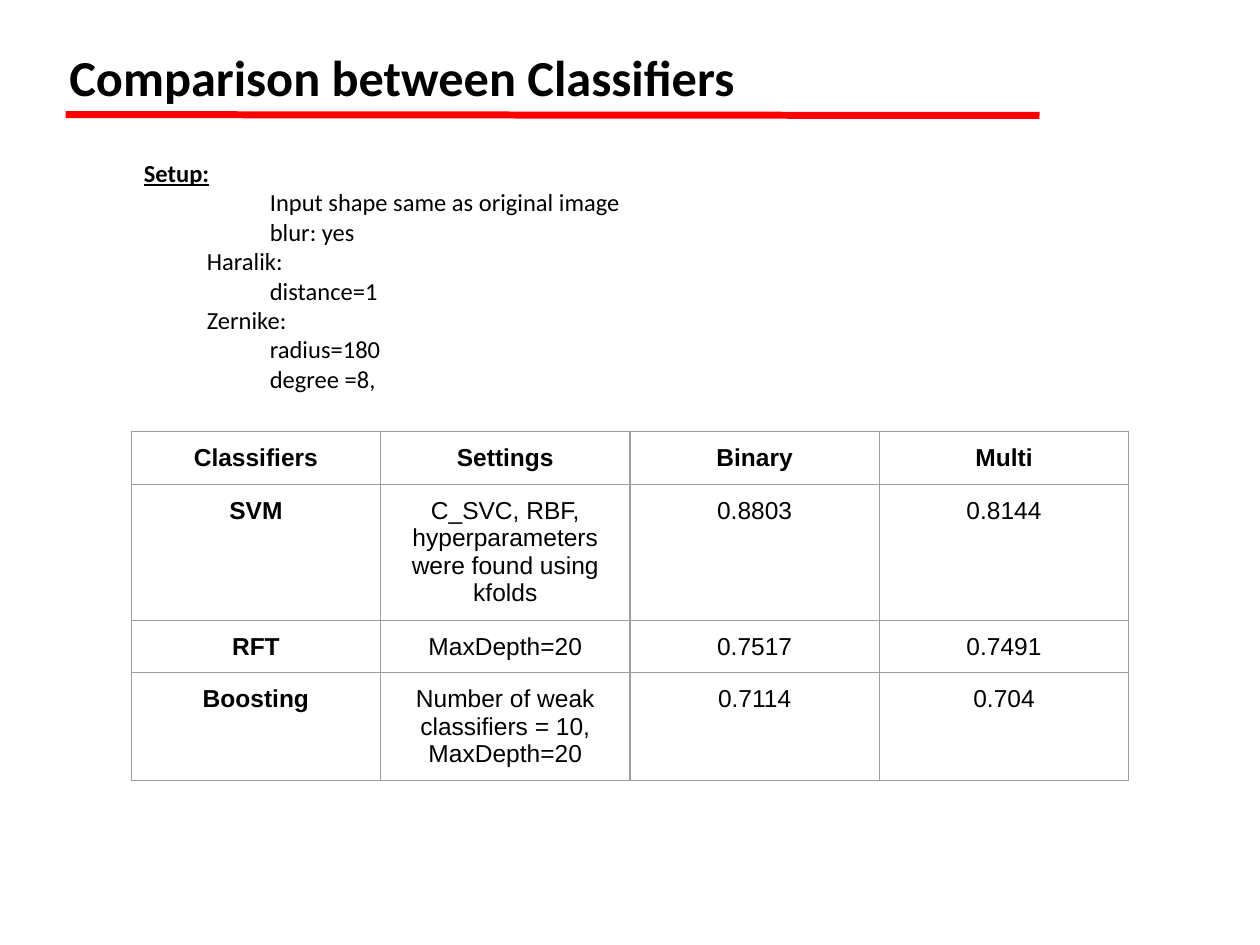
from dataclasses import dataclass

from lxml.etree import SubElement
from pptx import Presentation
from pptx.dml.color import RGBColor
from pptx.enum.shapes import MSO_CONNECTOR
from pptx.enum.text import MSO_ANCHOR, MSO_AUTO_SIZE, PP_ALIGN
from pptx.oxml.ns import qn
from pptx.util import Pt


@dataclass(frozen=True)
class Theme:
    text: str = "000000"
    rule: str = "FF0000"
    border: str = "9E9E9E"
    heading_font: str = "Calibri"
    table_font: str = "Arial"
    title_size: float = 28.8
    body_size: float = 14
    rule_width: float = 4
    border_width: float = 0.75
    indent: float = 36
    title_inset: float = 3.6
    inset: float = 7.2


class SlideBuilder:
    def __init__(self, s, theme):
        self.s = s
        self.theme = theme

    def run(self, p, text, font, size, bold=False, underline=False):
        r = p.add_run()
        r.text = text
        r.font.name = font
        r.font.size = Pt(size)
        r.font.bold = bold
        r.font.underline = underline
        r.font.color.rgb = RGBColor.from_string(self.theme.text)

    def place(self, sp, left, top, width, height, inset, anchor):
        sp.left, sp.top = Pt(left), Pt(top)
        sp.width, sp.height = Pt(width), Pt(height)
        tf = sp.text_frame
        tf.word_wrap = True
        tf.auto_size = MSO_AUTO_SIZE.NONE
        tf.vertical_anchor = anchor
        tf.margin_left = tf.margin_right = Pt(inset)
        tf.margin_top = tf.margin_bottom = Pt(inset)
        return tf

    def title(self, text, *box):
        t = self.theme
        tf = self.place(self.s.shapes.title, *box, t.title_inset, MSO_ANCHOR.MIDDLE)
        p = tf.paragraphs[0]
        p.alignment = PP_ALIGN.LEFT
        self.run(p, text, t.heading_font, t.title_size, bold=True)

    def rule(self, x1, y1, x2, y2):
        line = self.s.shapes.add_connector(
            MSO_CONNECTOR.STRAIGHT, Pt(x1), Pt(y1), Pt(x2), Pt(y2))
        line.line.color.rgb = RGBColor.from_string(self.theme.rule)
        line.line.width = Pt(self.theme.rule_width)
        SubElement(line._element.spPr, qn("a:effectLst"))

    def outline(self, items, *box):
        t = self.theme
        tf = self.place(self.s.placeholders[1], *box, t.inset, MSO_ANCHOR.TOP)
        for i, (level, text) in enumerate(items):
            p = tf.add_paragraph() if i else tf.paragraphs[0]
            p.level = level
            p.space_before = Pt(0)
            pPr = p._p.get_or_add_pPr()
            pPr.set("marL", str(Pt(level * t.indent)))
            pPr.set("indent", "0")
            SubElement(pPr, qn("a:buNone"))
            heading = level == 0
            self.run(p, text, t.heading_font, t.body_size, heading, heading)

    def cell(self, cell, text, bold):
        t = self.theme
        cell.margin_left = cell.margin_right = Pt(t.inset)
        cell.margin_top = cell.margin_bottom = Pt(t.inset)
        tcPr = cell._tc.get_or_add_tcPr()
        for side in ("lnL", "lnR", "lnT", "lnB"):
            ln = SubElement(tcPr, qn(f"a:{side}"), w=str(Pt(t.border_width)))
            SubElement(SubElement(ln, qn("a:solidFill")), qn("a:srgbClr"), val=t.border)
        cell.fill.background()
        p = cell.text_frame.paragraphs[0]
        p.alignment = PP_ALIGN.CENTER
        self.run(p, text, t.table_font, t.body_size, bold)

    def table(self, rows, left, top, col_width, heights):
        cols = len(rows[0])
        table = self.s.shapes.add_table(
            len(rows), cols, Pt(left), Pt(top),
            Pt(col_width * cols), Pt(sum(heights))).table
        table.first_row = table.horz_banding = False
        for column in table.columns:
            column.width = Pt(col_width)
        for i, (values, height) in enumerate(zip(rows, heights)):
            table.rows[i].height = Pt(height)
            for j, text in enumerate(values):
                self.cell(table.cell(i, j), text, i == 0 or j == 0)


SETUP = [
    (0, "Setup:"),
    (2, "Input shape same as original image"),
    (2, "blur: yes"),
    (1, "Haralik:"),
    (2, "distance=1"),
    (1, "Zernike:"),
    (2, "radius=180"),
    (2, "degree =8,"),
]

RESULTS = [
    ("Classifiers", "Settings", "Binary", "Multi"),
    ("SVM", "C_SVC, RBF, hyperparameters were found using kfolds", "0.8803", "0.8144"),
    ("RFT", "MaxDepth=20", "0.7517", "0.7491"),
    ("Boosting", "Number of weak classifiers = 10, MaxDepth=20", "0.7114", "0.704"),
]


def main():
    prs = Presentation()
    prs.slide_width, prs.slide_height = Pt(720), Pt(540)
    s = prs.slides.add_slide(prs.slide_layouts[1])
    builder = SlideBuilder(s, Theme())
    builder.rule(37.5, 65.5, 594, 66)
    builder.title("Comparison between Classifiers", 36, 21.6, 558, 44.6)
    builder.outline(SETUP, 75, 83, 435, 150.5)
    builder.table(RESULTS, 75, 246.5, 142.5, (29.7, 77.7, 29.7, 61.7))
    prs.save("out.pptx")


if __name__ == "__main__":
    main()
